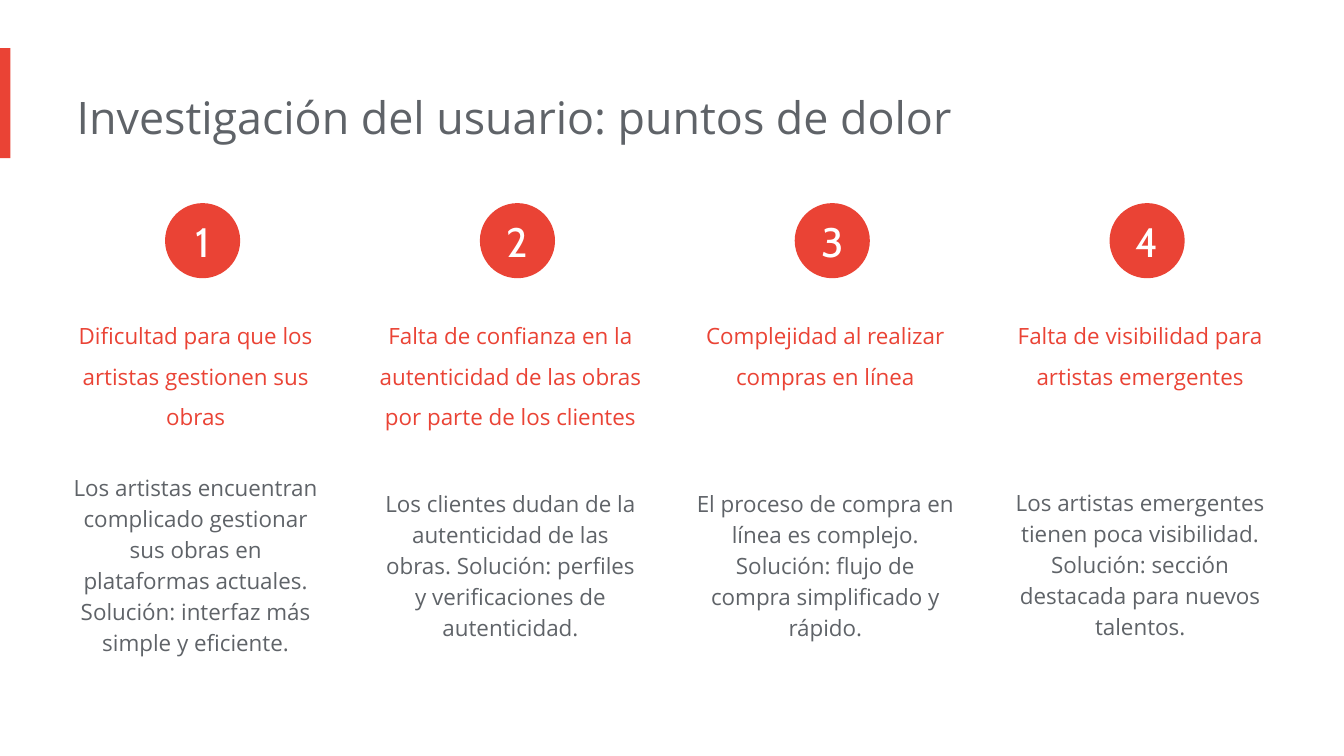
from dataclasses import dataclass

from pptx import Presentation
from pptx.dml.color import RGBColor
from pptx.enum.shapes import MSO_SHAPE as Preset
from pptx.enum.text import MSO_ANCHOR as Anchor, MSO_AUTO_SIZE as AutoSize, PP_ALIGN as Align
from pptx.shapes.autoshape import Shape
from pptx.slide import Slide
from pptx.util import Cm, Pt

COLORS = {"red": "EA4335", "gray": "5F6368", "white": "FFFFFF"}
BODY_FONT = "Open Sans"
NUMBER_FONT = "Cabin"

COLUMN_LEFT = 1.22
COLUMN_PITCH = 5.95
COLUMN_WIDTH = 5.21
HEADING_TOP = 5.59
CIRCLE_OFFSET = 1.9
CIRCLE_TOP = 3.84
CIRCLE_SIZE = 1.42


@dataclass(frozen=True)
class PainPoint:
    heading: str
    heading_height: float
    detail: str
    detail_top: float
    detail_height: float


PAIN_POINTS = [
    PainPoint(
        "Dificultad para que los artistas gestionen sus obras", 2.57,
        "Los artistas encuentran complicado gestionar sus obras en plataformas "
        "actuales. Solución: interfaz más simple y eficiente.", 8.64, 3.99),
    PainPoint(
        "Falta de confianza en la autenticidad de las obras por parte de los clientes", 3.33,
        "Los clientes dudan de la autenticidad de las obras. Solución: perfiles "
        "y verificaciones de autenticidad.", 8.94, 3.38),
    PainPoint(
        "Complejidad al realizar compras en línea", 1.8,
        "El proceso de compra en línea es complejo. Solución: flujo de compra "
        "simplificado y rápido.", 8.94, 3.38),
    PainPoint(
        "Falta de visibilidad para artistas emergentes", 1.8,
        "Los artistas emergentes tienen poca visibilidad. Solución: sección "
        "destacada para nuevos talentos.", 8.92, 3.38),
]


def write_text(shape: Shape, text: str, *, size: float = 12, color: str = "gray",
               font: str = BODY_FONT, align: Align = Align.CENTER,
               spacing: float = 1.0, inset: float = 0.25,
               anchor: Anchor = Anchor.TOP) -> None:
    """Fill the shape with one paragraph; inset applies to all sides but the left."""
    frame = shape.text_frame
    frame.word_wrap = True
    frame.vertical_anchor = anchor
    frame.margin_left = 0
    frame.margin_top = frame.margin_right = frame.margin_bottom = Cm(inset)
    paragraph = frame.paragraphs[0]
    paragraph.alignment = align
    paragraph.line_spacing = spacing
    run = paragraph.add_run()
    run.text = text
    run.font.name = font
    run.font.size = Pt(size)
    run.font.color.rgb = RGBColor.from_string(COLORS[color])


def add_text(slide: Slide, text: str, left: float, top: float,
             width: float, height: float, **text_format) -> None:
    box = slide.shapes.add_textbox(Cm(left), Cm(top), Cm(width), Cm(height))
    write_text(box, text, **text_format)
    box.text_frame.auto_size = AutoSize.SHAPE_TO_FIT_TEXT


def add_red_shape(slide: Slide, preset: Preset, left: float, top: float,
                  width: float, height: float) -> Shape:
    shape = slide.shapes.add_shape(preset, Cm(left), Cm(top), Cm(width), Cm(height))
    shape.shadow.inherit = False
    shape.fill.solid()
    shape.fill.fore_color.rgb = RGBColor.from_string(COLORS["red"])
    shape.line.fill.background()
    return shape


def add_pain_point(slide: Slide, number: int, point: PainPoint) -> None:
    left = COLUMN_LEFT + (number - 1) * COLUMN_PITCH
    add_text(slide, point.heading, left, HEADING_TOP, COLUMN_WIDTH,
             point.heading_height, color="red", spacing=1.5)
    add_text(slide, point.detail, left, point.detail_top, COLUMN_WIDTH,
             point.detail_height, spacing=1.15)
    circle = add_red_shape(slide, Preset.OVAL, left + CIRCLE_OFFSET, CIRCLE_TOP,
                           CIRCLE_SIZE, CIRCLE_SIZE)
    write_text(circle, str(number), size=22, color="white", font=NUMBER_FONT,
               inset=0, anchor=Anchor.MIDDLE)


def main() -> None:
    deck = Presentation()
    deck.slide_width, deck.slide_height = Cm(25.4), Cm(14.29)
    slide = deck.slides.add_slide(deck.slide_layouts[6])

    add_red_shape(slide, Preset.RECTANGLE, 0, 0.91, 0.2, 2.08)
    add_text(slide, "Investigación del usuario: puntos de dolor",
             1.45, 1.45, 17.09, 1.55, size=24, align=Align.LEFT)
    for number, point in enumerate(PAIN_POINTS, start=1):
        add_pain_point(slide, number, point)

    deck.save("out.pptx")


if __name__ == "__main__":
    main()
